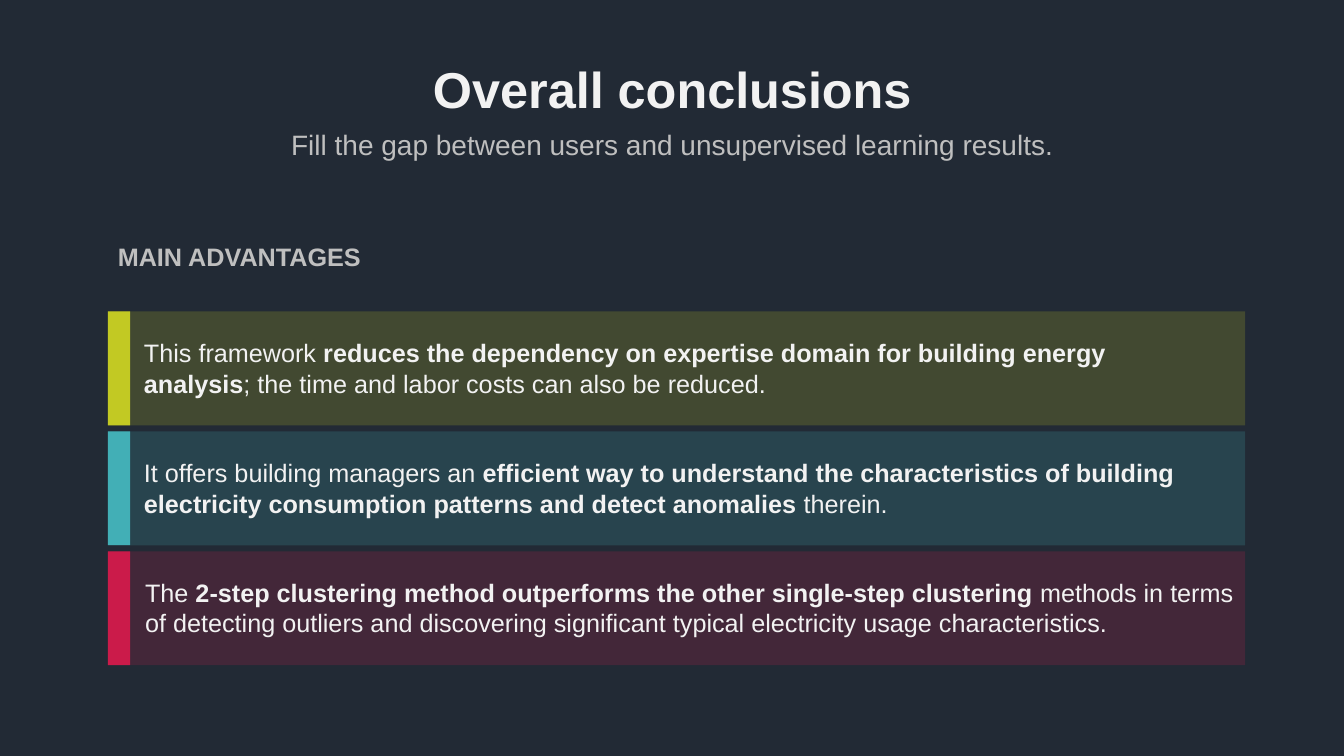
from lxml import etree
from pptx import Presentation
from pptx.dml.color import RGBColor
from pptx.enum import shapes, text
from pptx.oxml import ns
from pptx.util import Inches, Pt

FONT = "Arial"
BACKGROUND, BRIGHT, MUTED = "222A35", "F2F2F2", "BFBFBF"

# Advantage cards
CARD_LEFT, CARD_TOP, CARD_PITCH = 1.07, 3.09, 1.19
CARD_WIDTH, CARD_HEIGHT, ACCENT_WIDTH = 11.28, 1.13, 0.22

# Accent colour, text left, text width, runs as (wording, bold)
ADVANTAGES = [
    ("C2C923", 1.33, 10.76, [
        ("This framework ", False),
        ("reduces the dependency on expertise domain for building energy analysis", True),
        ("; the time and labor costs can also be reduced.", False)]),
    ("42AFB6", 1.33, 10.76, [
        ("It offers building managers an ", False),
        ("efficient way to understand the characteristics of building "
         "electricity consumption patterns and detect anomalies", True),
        (" therein.", False)]),
    ("CB1B4A", 1.34, 11.15, [
        ("The ", False),
        ("2-step clustering method outperforms the other single-step clustering", True),
        (" methods in terms of detecting outliers and discovering significant "
         "typical electricity usage characteristics.", False)]),
]


def paint(fill, color):
    fill.solid()
    fill.fore_color.rgb = RGBColor.from_string(color)


def add_text(slide, box, runs, size, color, align=text.PP_ALIGN.LEFT,
             anchor=text.MSO_ANCHOR.TOP, line_spacing=1.0):
    frame = slide.shapes.add_textbox(*map(Inches, box)).text_frame
    frame.word_wrap = True
    frame.vertical_anchor = anchor
    paragraph = frame.paragraphs[0]
    paragraph.alignment = align
    paragraph.line_spacing = line_spacing
    paragraph.font.name = FONT
    paragraph.font.size = Pt(size)
    paragraph.font.color.rgb = RGBColor.from_string(color)
    for wording, bold in runs:
        run = paragraph.add_run()
        run.text = wording
        run.font.bold = bold


def add_block(slide, kind, box, color, opacity=100):
    block = slide.shapes.add_shape(kind, *map(Inches, box))
    block.shadow.inherit = False
    block.line.fill.background()
    paint(block.fill, color)
    if opacity < 100:
        rgb = block.fill._xPr.find(".//" + ns.qn("a:srgbClr"))
        etree.SubElement(rgb, ns.qn("a:alpha"), val=str(opacity * 1000))
    return block


def add_advantage(slide, top, color, text_left, text_width, runs):
    panel = add_block(slide, shapes.MSO_SHAPE.ROUNDED_RECTANGLE,
                      (CARD_LEFT, top, CARD_WIDTH, CARD_HEIGHT), color, opacity=20)
    panel.adjustments[0] = 0
    add_block(slide, shapes.MSO_SHAPE.RECTANGLE,
              (CARD_LEFT, top, ACCENT_WIDTH, CARD_HEIGHT), color)
    add_text(slide, (text_left, top + 0.21, text_width, 0.71), runs, 18, BRIGHT)


def main():
    deck = Presentation()
    deck.slide_width, deck.slide_height = Inches(13.33), Inches(7.5)
    slide = deck.slides.add_slide(deck.slide_layouts[6])
    paint(slide.background.fill, BACKGROUND)

    # Heading
    add_text(slide, (0.92, 0.19, 11.5, 1.45), [("Overall conclusions", True)], 36, BRIGHT,
             text.PP_ALIGN.CENTER, text.MSO_ANCHOR.MIDDLE, 0.9)
    add_text(slide, (0.92, 1.25, 11.5, 0.4),
             [("Fill the gap between users and unsupervised learning results.", False)],
             20, MUTED, text.PP_ALIGN.CENTER, line_spacing=0.9)

    # Advantages
    add_text(slide, (CARD_LEFT, 2.34, 10.38, 0.4), [("MAIN ADVANTAGES", True)], 18, MUTED)
    for row, advantage in enumerate(ADVANTAGES):
        add_advantage(slide, CARD_TOP + row * CARD_PITCH, *advantage)

    deck.save("out.pptx")


main()
